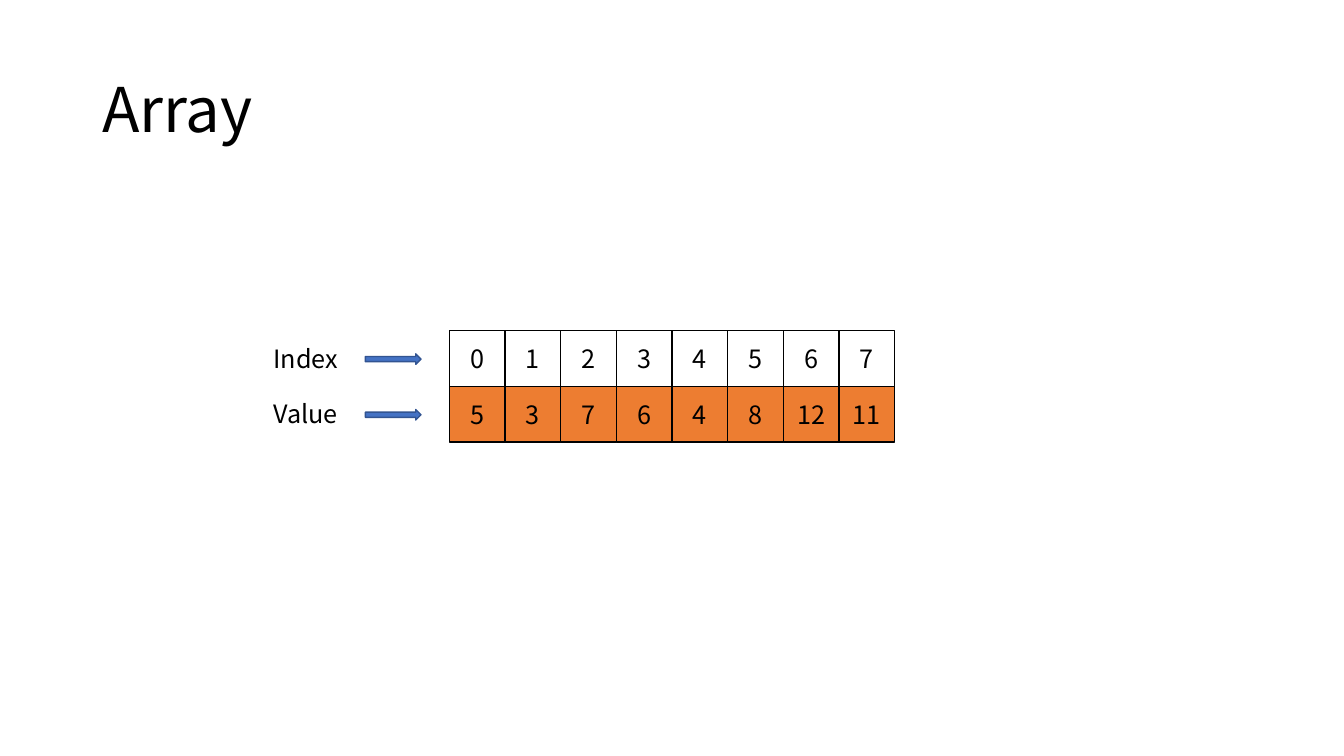
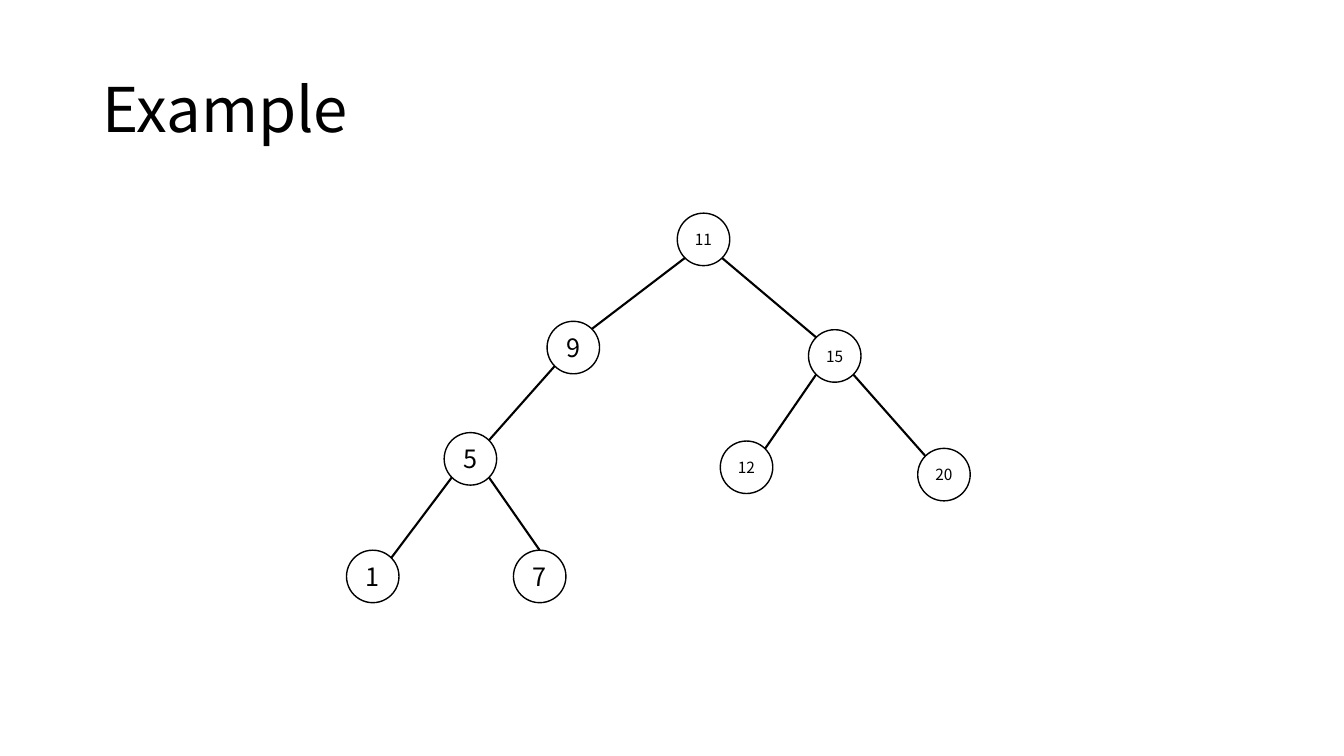
from dataclasses import dataclass
from math import sqrt

from lxml.etree import SubElement
from pptx import Presentation
from pptx.dml.color import RGBColor as RGB
from pptx.enum.shapes import MSO_CONNECTOR as Link, MSO_SHAPE as Shape
from pptx.enum.text import MSO_ANCHOR as Anchor, PP_ALIGN as Align
from pptx.oxml.ns import qn
from pptx.util import Emu, Pt


# Theme: every colour, font and size
@dataclass(frozen=True)
class Theme:
    font: str = "Noto Sans CJK KR"
    ink: str = "000000"
    paper: str = "FFFFFF"
    value: str = "ED7D31"
    arrow: str = "4472C4"
    rim: str = "325491"
    title: int = 44
    body: int = 18
    small: int = 11
    thin: float = 1
    edge: float = 1.5


THEME = Theme()

# Array: cells of one size in two rows
CELL, LEFT, TOP = 53, 428, 315
ROWS = [
    ("Index", THEME.paper, range(8)),
    ("Value", THEME.value, [5, 3, 7, 6, 4, 8, 12, 11]),
]

# Tree: left and top of each node, then parent and child of each edge
NODE = 50
NODES = {
    11: (645, 203), 9: (521, 306), 15: (770, 314), 5: (423, 412),
    12: (686, 420), 20: (874, 427), 1: (330, 524), 7: (489, 524),
}
EDGES = [(11, 9), (11, 15), (9, 5), (15, 12), (15, 20), (5, 1), (5, 7)]
TIPS = {7}  # nodes that are met at the top, not at a corner


def px(num):
    return Emu(round(num * 9525))


# Text
def write(shape, text, size, align=Align.LEFT):
    para = shape.text_frame.paragraphs[0]
    para.alignment = align
    run = para.add_run()
    run.text = str(text)
    run.font.name = THEME.font
    run.font.size = Pt(size)
    run.font.color.rgb = RGB.from_string(THEME.ink)
    return para


def add_text(slide, box, text, size, anchor=Anchor.TOP):
    shape = slide.shapes.add_textbox(*map(px, box))
    shape.text_frame.word_wrap = True
    shape.text_frame.vertical_anchor = anchor
    return write(shape, text, size)


# Shapes
def add_shape(slide, kind, box, fill=None, line=THEME.ink):
    shape = slide.shapes.add_shape(kind, *map(px, box))
    shape.shadow.inherit = False
    if fill:
        shape.fill.solid()
        shape.fill.fore_color.rgb = RGB.from_string(fill)
    else:
        shape.fill.background()
    shape.line.color.rgb = RGB.from_string(line)
    shape.line.width = Pt(THEME.thin)
    return shape


def add_label(shape, text, size):
    frame = shape.text_frame
    frame.margin_left = frame.margin_right = 0
    frame.vertical_anchor = Anchor.MIDDLE
    write(shape, text, size, Align.CENTER)


# Tree parts
def add_node(slide, key):
    shape = add_shape(slide, Shape.OVAL, (*NODES[key], NODE, NODE))
    add_label(shape, key, THEME.small if key > 9 else THEME.body)
    return shape


def corner(key, across, down):
    """Point on the rim of a node, on the diagonal given by two signs."""
    left, top = NODES[key]
    half = NODE / 2
    step = half / sqrt(2)
    return px(left + half + across * step), px(top + half + down * step)


def add_edge(slide, nodes, head, child):
    side = 1 if NODES[child][0] > NODES[head][0] else -1
    line = slide.shapes.add_connector(
        Link.STRAIGHT, *corner(head, side, 1), *corner(child, -side, -1))
    if child in TIPS:
        line.end_connect(nodes[child], 0)
    line.line.color.rgb = RGB.from_string(THEME.ink)
    line.line.width = Pt(THEME.edge)
    SubElement(line._element.spPr, qn("a:effectLst"))


# Slides
def add_slide(deck, title):
    slide = deck.slides.add_slide(deck.slide_layouts[6])
    para = add_text(slide, (88, 38, 1104, 139), title, THEME.title,
                    Anchor.MIDDLE)
    para.line_spacing = 0.9
    return slide


def add_array(deck):
    slide = add_slide(deck, "Array")
    for row, (name, fill, items) in enumerate(ROWS):
        top = TOP + row * CELL
        add_text(slide, (251, top + 7, 84, 38), name, THEME.body)
        add_shape(slide, Shape.RIGHT_ARROW, (348, top + 22, CELL, 10),
                  THEME.arrow, THEME.rim)
        for col, item in enumerate(items):
            box = (LEFT + col * CELL, top, CELL, CELL)
            cell = add_shape(slide, Shape.RECTANGLE, box, fill)
            add_label(cell, item, THEME.body)


def add_tree(deck):
    slide = add_slide(deck, "Example")
    nodes = {key: add_node(slide, key) for key in NODES}
    for head, child in EDGES:
        add_edge(slide, nodes, head, child)


def main():
    deck = Presentation()
    deck.slide_width, deck.slide_height = px(1280), px(720)
    add_array(deck)
    add_tree(deck)
    deck.save("out.pptx")


if __name__ == "__main__":
    main()
